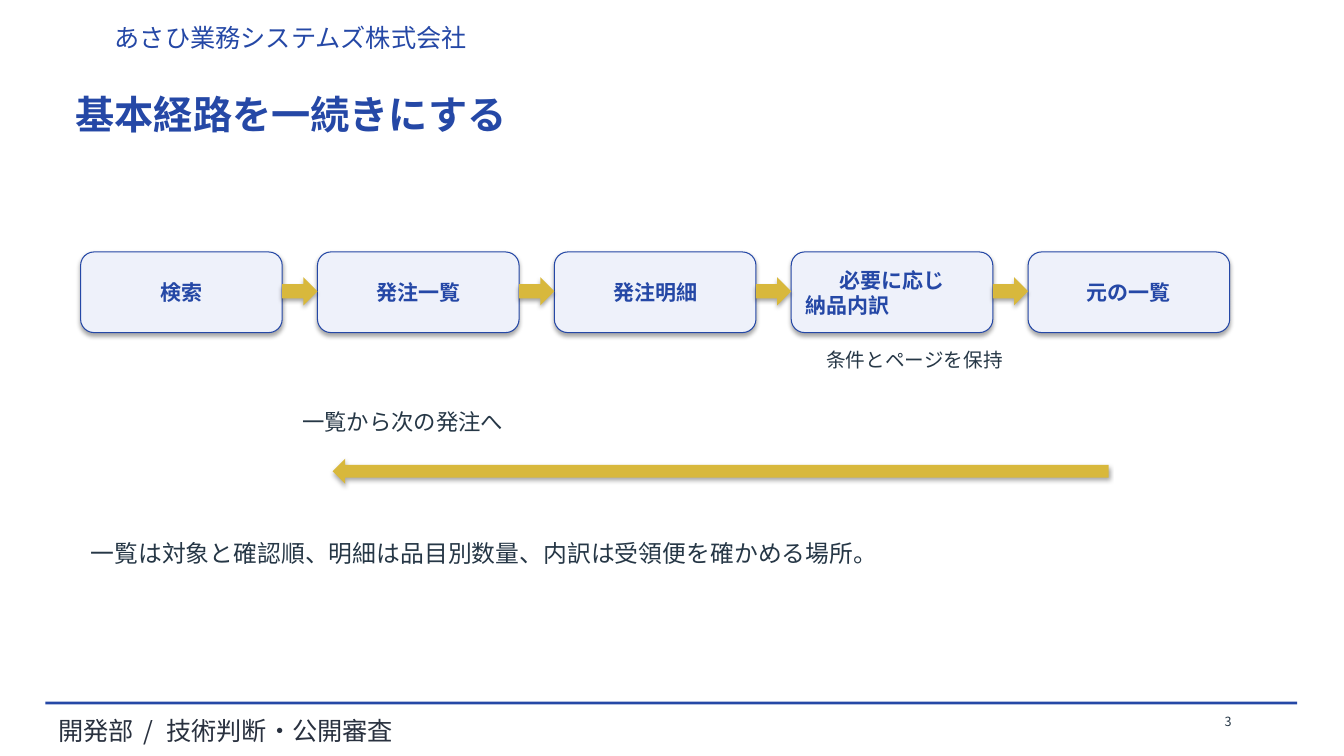
from dataclasses import dataclass

from lxml.etree import SubElement
from pptx import Presentation
from pptx.dml.color import RGBColor
from pptx.enum.shapes import MSO_SHAPE
from pptx.enum.text import MSO_ANCHOR, PP_ALIGN
from pptx.oxml.ns import qn
from pptx.shapes.autoshape import Shape
from pptx.slide import Slide
from pptx.util import Pt

FONT = "Noto Sans CJK JP"
BLUE = "2548A6"
GOLD = "D8B83C"
PALE = "EEF1FA"
INK = "263746"
FOOTER_INK = "29313F"

NODE_NAMES = ["検索", "発注一覧", "発注明細", "必要に応じ\n納品内訳", "元の一覧"]
NODE_LEFT, NODE_TOP, NODE_WIDTH, NODE_HEIGHT = 57.6, 180, 144, 57.6
ARROW_TOP, ARROW_WIDTH, ARROW_HEIGHT = 198, 25.2, 20.16
NODE_PITCH = NODE_WIDTH + ARROW_WIDTH


@dataclass
class Block:
    """A filled preset shape, with lengths in points."""

    kind: MSO_SHAPE
    left: float
    top: float
    width: float
    height: float
    fill: str
    line: str = ""
    shadow: bool = False


@dataclass
class Label:
    """A plain text box of one or more spans, with lengths in points."""

    spans: list[str]
    left: float
    top: float
    width: float
    height: float
    size: float
    color: str = INK


FOOTER_RULE = Block(MSO_SHAPE.RECTANGLE, 32.4, 501.1, 894.2, 2.16, BLUE)
RETURN_ARROW = Block(MSO_SHAPE.LEFT_ARROW, 237.6, 327.6, 554.4, 18, GOLD, shadow=True)
FOOTER = Label(["開発部", " / ", "技術判断・公開審査"],
               34.6, 507.6, 720, 18.7, 18, FOOTER_INK)
LABELS = [
    Label(["あさひ業務システムズ株式会社"], 74.9, 12.2, 504, 24.5, 18, BLUE),
    Label(["3"], 867.6, 506.2, 43.2, 21.6, 9),
    Label(["条件とページを保持"], 583.2, 244.8, 302.4, 36, 14),
    Label(["一覧から次の発注へ"], 208.8, 288, 432, 36, 16),
    Label(["一覧は対象と確認順、明細は品目別数量、内訳は受領便を確かめる場所。"],
          57.6, 381.6, 828, 50.4, 17),
]


def rgb(code: str) -> RGBColor:
    """Turn a hex string into a colour."""
    return RGBColor.from_string(code)


def format_text(shape: Shape, size: float, color: str, bold: bool = False) -> None:
    """Give every run of a shape the same font, size and colour."""
    for para in shape.text_frame.paragraphs:
        for span in para.runs:
            span.font.size = Pt(size)
            span.font.bold = bold
            span.font.color.rgb = rgb(color)
            span.font.name = FONT
            SubElement(span.font._element, qn("a:ea"), typeface=FONT)


def draw_block(page: Slide, block: Block) -> Shape:
    """Draw one filled shape."""
    shape = page.shapes.add_shape(block.kind, Pt(block.left), Pt(block.top),
                                  Pt(block.width), Pt(block.height))
    shape.fill.solid()
    shape.fill.fore_color.rgb = rgb(block.fill)
    if block.line:
        shape.line.color.rgb = rgb(block.line)
        shape.line.width = Pt(0.75)
    else:
        shape.line.fill.background()
    if not block.shadow:
        shape.shadow.inherit = False
    return shape


def draw_label(page: Slide, label: Label) -> Shape:
    """Draw one text box."""
    box = page.shapes.add_textbox(Pt(label.left), Pt(label.top),
                                  Pt(label.width), Pt(label.height))
    box.text_frame.word_wrap = True
    for text in label.spans:
        box.text_frame.paragraphs[0].add_run().text = text
    format_text(box, label.size, label.color)
    return box


def draw_footer(page: Slide) -> None:
    """Draw the rule, and the department and topic with a widely spaced separator."""
    draw_block(page, FOOTER_RULE)
    separator = draw_label(page, FOOTER).text_frame.paragraphs[0].runs[1]
    separator.font._element.set("spc", "270")


def draw_title(page: Slide, text: str) -> None:
    """Place and format the title placeholder."""
    title = page.shapes.title
    title.left, title.top, title.width, title.height = Pt(46.8), Pt(61.2), Pt(864), Pt(72)
    title.text_frame.text = text
    title.text_frame.vertical_anchor = MSO_ANCHOR.TOP
    title.text_frame.paragraphs[0].alignment = PP_ALIGN.LEFT
    format_text(title, 28, BLUE, bold=True)


def draw_node(page: Slide, index: int, name: str) -> None:
    """Draw one step of the route, its first line centred."""
    node = draw_block(page, Block(MSO_SHAPE.ROUNDED_RECTANGLE,
                                  NODE_LEFT + index * NODE_PITCH, NODE_TOP,
                                  NODE_WIDTH, NODE_HEIGHT, PALE, BLUE, True))
    node.text_frame.text = name
    node.text_frame.vertical_anchor = MSO_ANCHOR.MIDDLE
    for number, para in enumerate(node.text_frame.paragraphs):
        para.alignment = PP_ALIGN.LEFT if number else PP_ALIGN.CENTER
    format_text(node, 15, BLUE, bold=True)


def draw_route(page: Slide) -> None:
    """Draw the steps, the arrows between them and the way back."""
    for index, name in enumerate(NODE_NAMES):
        draw_node(page, index, name)
    for index in range(len(NODE_NAMES) - 1):
        left = NODE_LEFT + NODE_WIDTH + index * NODE_PITCH
        draw_block(page, Block(MSO_SHAPE.RIGHT_ARROW, left, ARROW_TOP,
                               ARROW_WIDTH, ARROW_HEIGHT, GOLD, shadow=True))
    draw_block(page, RETURN_ARROW)


def main() -> None:
    """Build the slide and save it."""
    deck = Presentation()
    deck.slide_width, deck.slide_height = Pt(960), Pt(540)
    page = deck.slides.add_slide(deck.slide_layouts[5])
    draw_title(page, "基本経路を一続きにする")
    draw_route(page)
    for label in LABELS:
        draw_label(page, label)
    draw_footer(page)
    deck.save("out.pptx")


if __name__ == "__main__":
    main()
